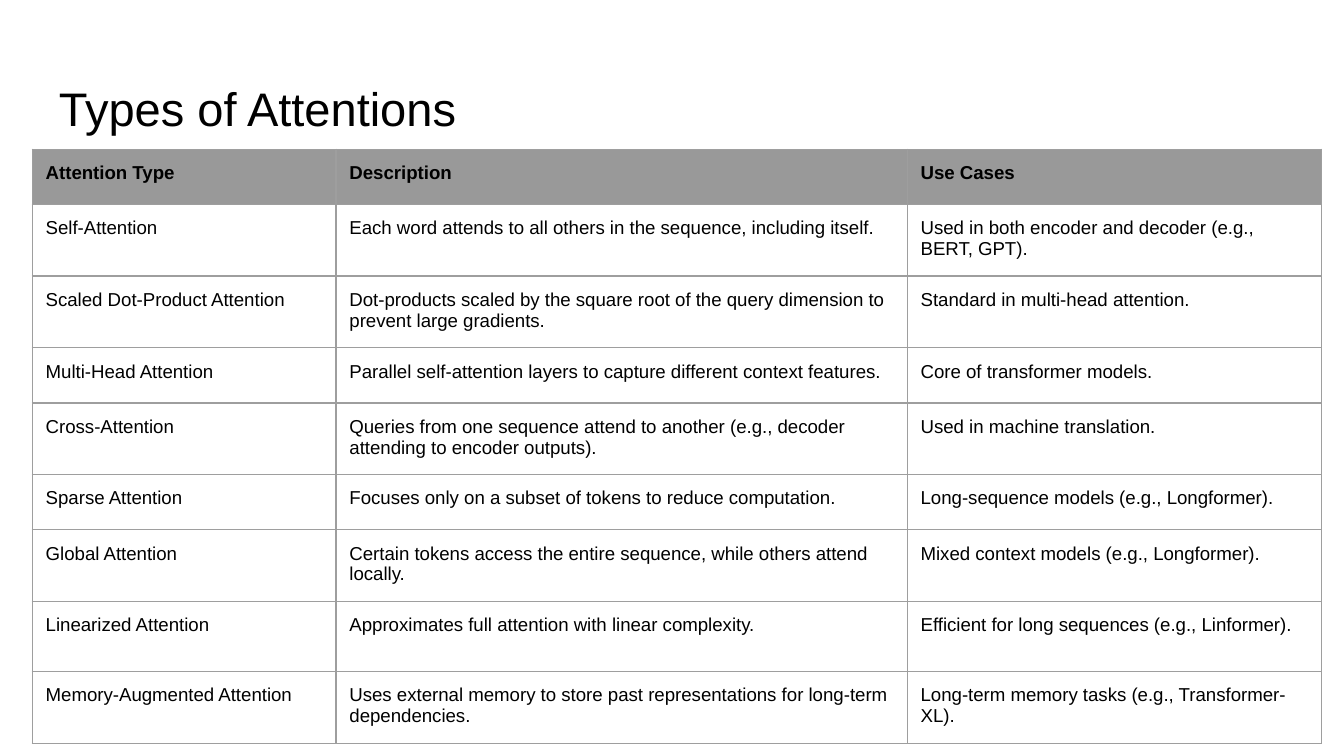
from dataclasses import dataclass

from lxml.etree import SubElement
from pptx import Presentation
from pptx.dml.color import RGBColor
from pptx.enum.text import MSO_ANCHOR
from pptx.oxml.ns import qn
from pptx.util import Inches, Pt


@dataclass(frozen=True)
class Theme:
    font: str = "Arial"
    text: str = "000000"
    header: str = "999999"
    border: str = "9E9E9E"
    title_size: float = 25.2
    table_size: float = 10
    border_width: float = 0.75


THEME = Theme()
MARGIN = Inches(0.1)
COLUMN_WIDTHS = (2.26, 4.25, 3.08)
SHORT_ROW, TALL_ROW = 0.41, 0.52
SHORT_ROWS = (0, 3, 5)

ATTENTION_ROWS = (
    ("Attention Type", "Description", "Use Cases"),
    ("Self-Attention",
     "Each word attends to all others in the sequence, including itself.",
     "Used in both encoder and decoder (e.g., BERT, GPT)."),
    ("Scaled Dot-Product Attention",
     "Dot-products scaled by the square root of the query dimension to prevent large gradients.",
     "Standard in multi-head attention."),
    ("Multi-Head Attention",
     "Parallel self-attention layers to capture different context features.",
     "Core of transformer models."),
    ("Cross-Attention",
     "Queries from one sequence attend to another (e.g., decoder attending to encoder outputs).",
     "Used in machine translation."),
    ("Sparse Attention",
     "Focuses only on a subset of tokens to reduce computation.",
     "Long-sequence models (e.g., Longformer)."),
    ("Global Attention",
     "Certain tokens access the entire sequence, while others attend locally.",
     "Mixed context models (e.g., Longformer)."),
    ("Linearized Attention",
     "Approximates full attention with linear complexity.",
     "Efficient for long sequences (e.g., Linformer)."),
    ("Memory-Augmented Attention",
     "Uses external memory to store past representations for long-term dependencies.",
     "Long-term memory tasks (e.g., Transformer-XL)."),
)


def write_text(tf, text, *, size, bold=False):
    p = tf.paragraphs[0]
    p.line_spacing = 1.0
    r = p.add_run()
    r.text = text
    r.font.name = THEME.font
    r.font.size = Pt(size)
    r.font.bold = bold
    r.font.color.rgb = RGBColor.from_string(THEME.text)


def set_margins(box):
    """Give a text frame or a table cell the same inset on every side."""
    box.margin_left = box.margin_right = MARGIN
    box.margin_top = box.margin_bottom = MARGIN


def set_borders(cell):
    tc_pr = cell._tc.get_or_add_tcPr()
    for side in ("a:lnL", "a:lnR", "a:lnT", "a:lnB"):
        line = SubElement(tc_pr, qn(side), w=str(Pt(THEME.border_width)), cmpd="sng")
        fill = SubElement(line, qn("a:solidFill"))
        SubElement(fill, qn("a:srgbClr"), val=THEME.border)
        SubElement(line, qn("a:prstDash"), val="solid")


def add_title(slide, text):
    sp = slide.shapes.add_textbox(Inches(0.34), Inches(0.48), Inches(9.32), Inches(0.63))
    tf = sp.text_frame
    tf.word_wrap = True
    set_margins(tf)
    tf.vertical_anchor = MSO_ANCHOR.BOTTOM
    write_text(tf, text, size=THEME.title_size)


def format_cell(cell, text, is_header):
    set_margins(cell)
    set_borders(cell)
    if is_header:
        cell.fill.solid()
        cell.fill.fore_color.rgb = RGBColor.from_string(THEME.header)
    else:
        cell.fill.background()
    write_text(cell.text_frame, text, size=THEME.table_size, bold=is_header)


def add_attention_table(slide, rows):
    heights = [SHORT_ROW if i in SHORT_ROWS else TALL_ROW for i in range(len(rows))]
    table = slide.shapes.add_table(
        len(rows), len(COLUMN_WIDTHS), Inches(0.24), Inches(1.11),
        Inches(sum(COLUMN_WIDTHS)), Inches(sum(heights))).table
    table.first_row = table.horz_banding = False
    for column, width in zip(table.columns, COLUMN_WIDTHS):
        column.width = Inches(width)
    for i, (row, height, texts) in enumerate(zip(table.rows, heights, rows)):
        row.height = Inches(height)
        for cell, text in zip(row.cells, texts):
            format_cell(cell, text, is_header=i == 0)


def main():
    prs = Presentation()
    prs.slide_width = Inches(10)
    prs.slide_height = prs.slide_width * 9 // 16
    slide = prs.slides.add_slide(prs.slide_layouts[6])
    add_title(slide, "Types of Attentions")
    add_attention_table(slide, ATTENTION_ROWS)
    prs.save("out.pptx")


if __name__ == "__main__":
    main()
